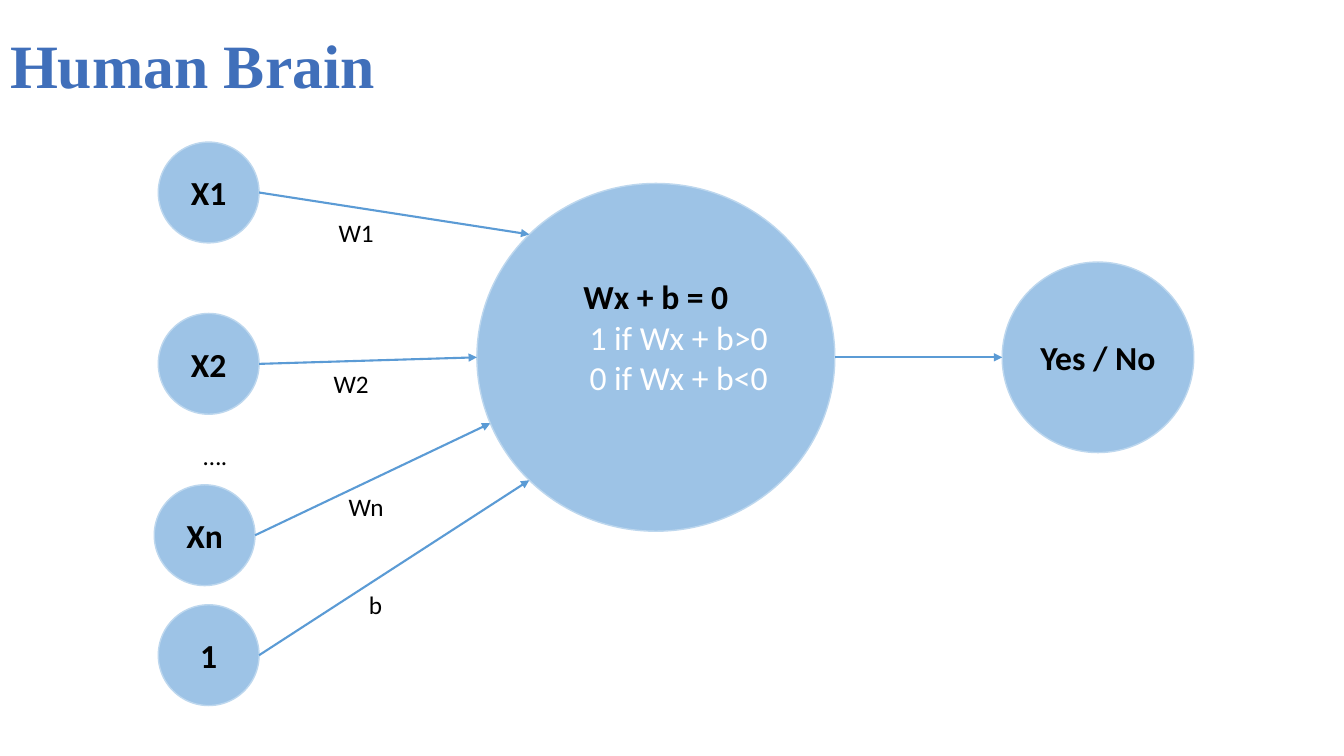
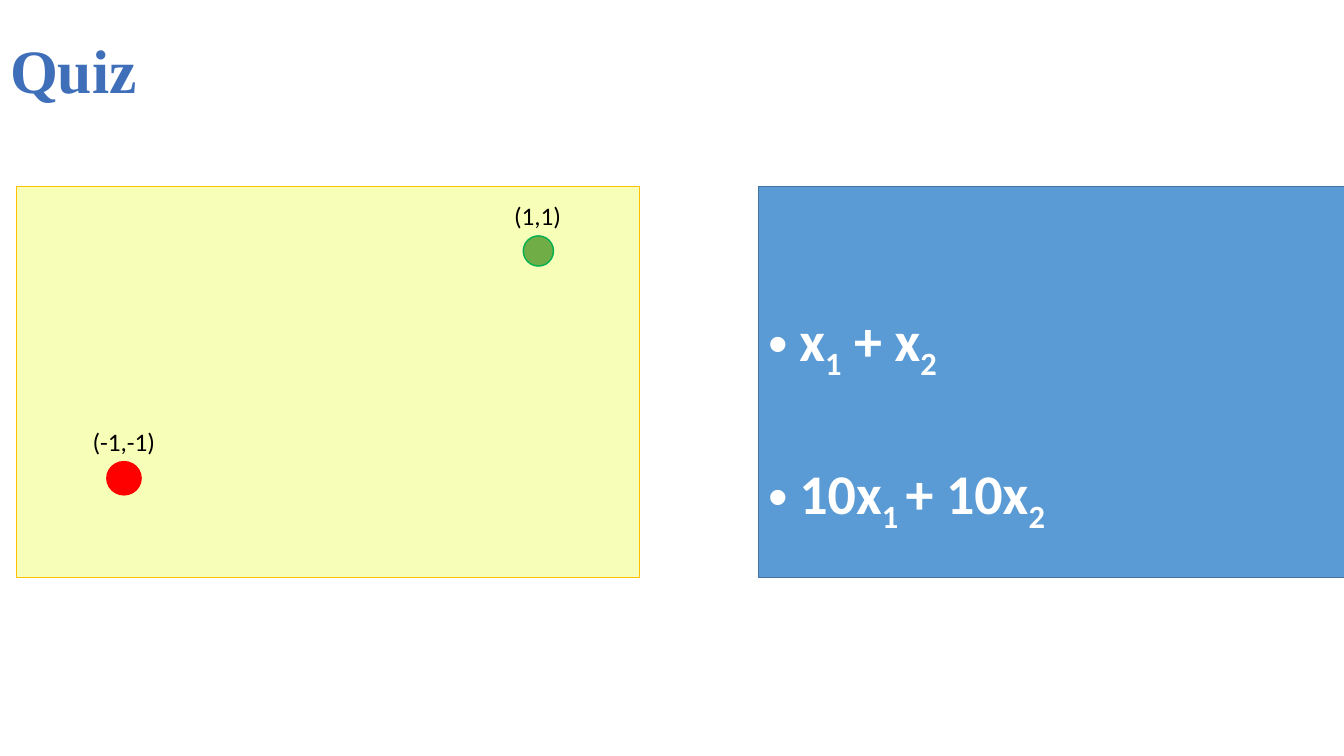
import math
from dataclasses import dataclass

import lxml.etree
import pptx
import pptx.dml.color
import pptx.enum.shapes
import pptx.enum.text
import pptx.oxml.ns
import pptx.util

Inches = pptx.util.Inches
Pt = pptx.util.Pt
RGB = pptx.dml.color.RGBColor
SHAPE = pptx.enum.shapes.MSO_SHAPE
ALIGN = pptx.enum.text.PP_ALIGN
ANCHOR = pptx.enum.text.MSO_ANCHOR
qn = pptx.oxml.ns.qn

# Colours
TITLE_BLUE = RGB(0x40, 0x6F, 0xBA)
NODE_FILL = RGB(0x9D, 0xC3, 0xE6)
NODE_LINE = RGB(0xBD, 0xD7, 0xEE)
BLUE = RGB(0x5B, 0x9B, 0xD5)
DARK_BLUE = RGB(0x43, 0x73, 0x9E)
BLACK = RGB(0, 0, 0)
WHITE = RGB(0xFF, 0xFF, 0xFF)
CREAM = RGB(0xF7, 0xFE, 0xB8)
AMBER = RGB(0xFF, 0xC0, 0)
GREEN = RGB(0x70, 0xAD, 0x47)
GREEN_LINE = RGB(0, 0xB0, 0x50)
RED = RGB(0xFF, 0, 0)

# Text formats
TITLE = {"name": "Times New Roman", "size": Pt(44), "bold": True, "rgb": TITLE_BLUE}
NODE = {"name": "Calibri", "size": Pt(24), "bold": True, "rgb": BLACK}
RULE = NODE | {"bold": False, "rgb": WHITE}
LABEL = {"name": "Calibri", "size": Pt(18), "bold": False, "rgb": BLACK}
FORMULA = {"name": "Calibri", "size": Pt(40), "bold": True, "rgb": WHITE}


@dataclass
class Box:
    left: float
    top: float
    width: float
    height: float

    def lengths(self) -> list:
        return [Inches(v) for v in (self.left, self.top, self.width, self.height)]

    def rim(self, degrees: float) -> tuple[float, float]:
        """Point on the inscribed ellipse, clockwise from the right."""
        a = math.radians(degrees)
        return (self.left + self.width / 2 * (1 + math.cos(a)),
                self.top + self.height / 2 * (1 + math.sin(a)))


@dataclass
class Neuron:
    """An input node, its arrow's angle on the body, and its weight label."""
    name: str
    left: float
    top: float
    angle: float
    weight: str
    label: Box


@dataclass
class Point:
    text: str
    label: Box
    dot: Box
    fill: RGB
    line: RGB


BODY = Box(4.73, 1.82, 3.55, 3.45)
OUTPUT = Box(9.94, 2.6, 1.9, 1.89)
NEURONS = [
    Neuron("X1", 1.57, 1.41, 225, "W1", Box(3.26, 2.11, 0.55, 0.4)),
    Neuron("X2", 1.57, 3.11, 180, "W2", Box(3.21, 3.61, 0.55, 0.4)),
    Neuron("Xn", 1.53, 4.81, 157.7, "Wn", Box(3.36, 4.83, 0.55, 0.4)),
    Neuron("1", 1.57, 6, 135, "b", Box(3.56, 5.8, 0.34, 0.4)),
]
POINTS = [
    Point("(1,1)", Box(5, 1.94, 0.68, 0.4), Box(5.19, 2.34, 0.3, 0.3), GREEN, GREEN_LINE),
    Point("(-1,-1)", Box(0.82, 4.18, 0.83, 0.4), Box(1.06, 4.58, 0.34, 0.33), RED, RED),
]
# Each formula alternates normal text and subscripts
FORMULAS = [("x", "1", " + x", "2"), ("10x", "1 ", "+ 10x", "2")]


def set_font(font, fmt: dict) -> None:
    for key, value in fmt.items():
        if key == "rgb":
            font.color.rgb = value
        else:
            setattr(font, key, value)


def add_run(p, text: str, fmt: dict):
    r = p.add_run()
    r.text = text
    set_font(r.font, fmt)
    return r


def add_titled_slide(prs, title: str, top: float = 0):
    s = prs.slides.add_slide(prs.slide_layouts[5])
    sp = s.shapes.title
    sp.left, sp.top, sp.width, sp.height = Box(0, top, 11.5, 1.45).lengths()
    sp.text_frame.vertical_anchor = ANCHOR.MIDDLE
    p = sp.text_frame.paragraphs[0]
    p.alignment = ALIGN.LEFT
    p.line_spacing = 0.9
    add_run(p, title, TITLE)
    return s


def add_filled(s, kind, box: Box, fill: RGB, line: RGB, width: float = 1):
    sp = s.shapes.add_shape(kind, *box.lengths())
    sp.shadow.inherit = False
    sp.fill.solid()
    sp.fill.fore_color.rgb = fill
    sp.line.color.rgb = line
    sp.line.width = Pt(width)
    sp.text_frame.vertical_anchor = ANCHOR.MIDDLE
    return sp


def add_node(s, box: Box, text: str):
    sp = add_filled(s, SHAPE.OVAL, box, NODE_FILL, NODE_LINE)
    p = sp.text_frame.paragraphs[0]
    p.alignment = ALIGN.CENTER
    add_run(p, text, NODE)
    return sp


def add_label(s, box: Box, text: str) -> None:
    tf = s.shapes.add_textbox(*box.lengths()).text_frame
    tf.word_wrap = False
    tf.auto_size = pptx.enum.text.MSO_AUTO_SIZE.SHAPE_TO_FIT_TEXT
    add_run(tf.paragraphs[0], text, LABEL)


def add_arrow(s, start: tuple[float, float], end: tuple[float, float]) -> None:
    ends = [Inches(v) for v in (*start, *end)]
    cx = s.shapes.add_connector(pptx.enum.shapes.MSO_CONNECTOR.STRAIGHT, *ends)
    cx.line.color.rgb = BLUE
    cx.line.width = Pt(1.5)
    lxml.etree.SubElement(cx.line._get_or_add_ln(), qn("a:tailEnd"), type="triangle")
    lxml.etree.SubElement(cx._element.spPr, qn("a:effectLst"))


def set_indent(p, margin: float, first: float = 0) -> None:
    pPr = p._p.get_or_add_pPr()
    pPr.set("marL", str(Inches(margin)))
    pPr.set("indent", str(Inches(first)))


def add_brain_slide(prs) -> None:
    s = add_titled_slide(prs, "Human Brain", -0.04)

    # Cell body with its decision rule
    tf = add_node(s, BODY, "Wx + b = 0").text_frame
    tf.margin_bottom = Inches(0.46)
    for text in ("1 if Wx + b>0", "0 if Wx + b<0"):
        p = tf.add_paragraph()
        p.level = 1
        p.alignment = ALIGN.LEFT
        set_indent(p, 0.5)
        add_run(p, text, RULE)

    # Inputs and weights
    for n in NEURONS:
        box = Box(n.left, n.top, 1, 1)
        add_node(s, box, n.name)
        add_arrow(s, box.rim(0), BODY.rim(n.angle))
        add_label(s, n.label, n.weight)
    add_label(s, Box(1.92, 4.32, 0.44, 0.4), "….")

    # Output
    add_node(s, OUTPUT, "Yes / No")
    add_arrow(s, BODY.rim(0), OUTPUT.rim(180))


def add_quiz_slide(prs) -> None:
    s = add_titled_slide(prs, "Quiz")

    # Plot area with two points
    add_filled(s, SHAPE.RECTANGLE, Box(0.16, 1.85, 6.18, 3.88), CREAM, AMBER, 0.5)
    for pt in POINTS:
        add_filled(s, SHAPE.OVAL, pt.dot, pt.fill, pt.line)
        add_label(s, pt.label, pt.text)

    # Formula panel
    panel = add_filled(s, SHAPE.RECTANGLE, Box(7.52, 1.85, 5.82, 3.88), BLUE, DARK_BLUE)
    tf = panel.text_frame
    for i, parts in enumerate(FORMULAS):
        p = tf.add_paragraph() if i else tf.paragraphs[0]
        p.alignment = ALIGN.LEFT
        p.line_spacing = 2.0
        set_indent(p, 0.31, -0.31)
        pPr = p._p.get_or_add_pPr()
        lxml.etree.SubElement(pPr, qn("a:buFont"), typeface="Arial")
        lxml.etree.SubElement(pPr, qn("a:buChar"), char="•")
        for j, text in enumerate(parts):
            r = add_run(p, text, FORMULA)
            if j % 2:
                r._r.get_or_add_rPr().set("baseline", "-25000")


def main() -> None:
    prs = pptx.Presentation()
    prs.slide_width, prs.slide_height = Inches(13.33), Inches(7.5)
    add_brain_slide(prs)
    add_quiz_slide(prs)
    prs.save("out.pptx")


if __name__ == "__main__":
    main()
